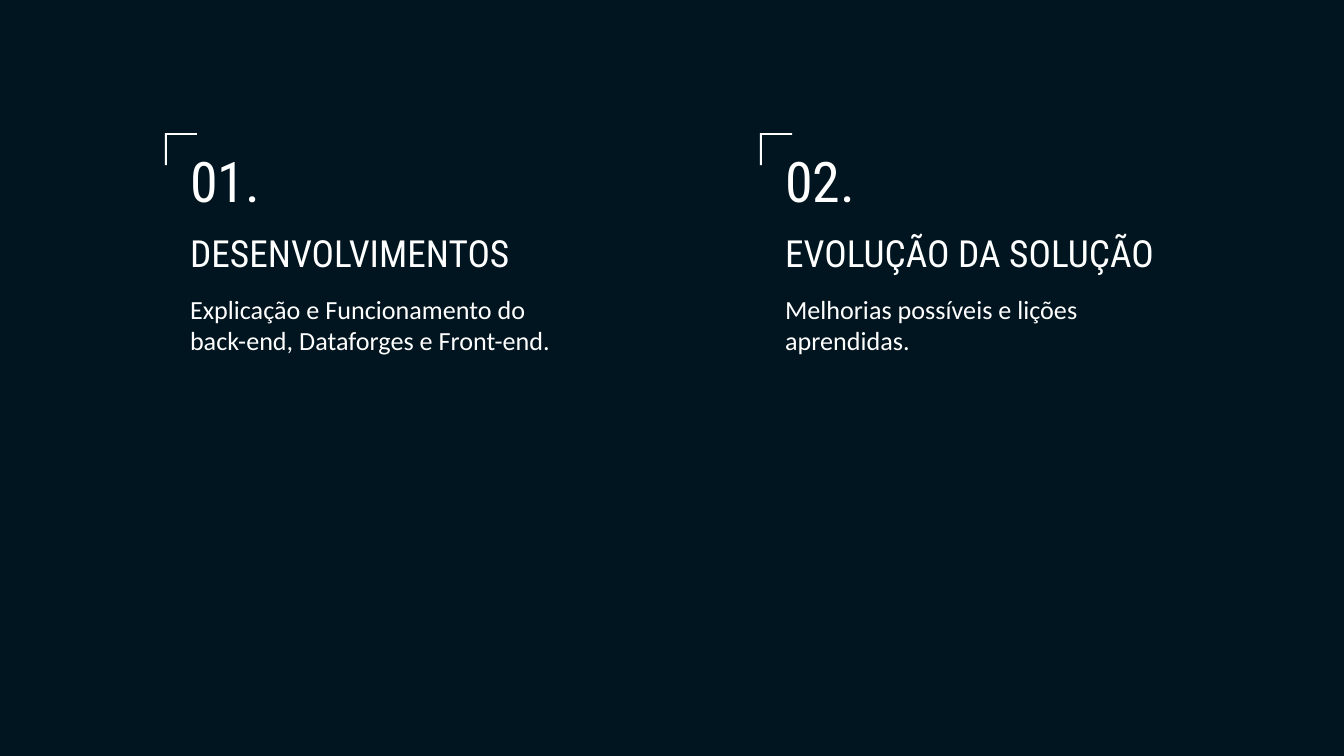
from pptx import Presentation
from pptx.dml.color import RGBColor
from pptx.enum.shapes import MSO_SHAPE
from pptx.enum.text import MSO_ANCHOR
from pptx.util import Emu, Pt

EMU_PER_PX = 914400 / 134.4
WHITE = "FFFFFF"
BACKGROUND = "00151F"
HEADING_FONT = "Roboto Condensed"
BODY_FONT = "Calibri"

TOPICS = [
    ("01.", "DESENVOLVIMENTOS",
     "Explicação e Funcionamento do back-end, Dataforges e Front-end."),
    ("02.", "EVOLUÇÃO DA SOLUÇÃO",
     "Melhorias possíveis e lições aprendidas."),
]
TOPIC_LEFT, TOPIC_TOP, TOPIC_STEP = 165, 133, 595


def px(length):
    return Emu(round(length * EMU_PER_PX))


def color(hex_string):
    return RGBColor.from_string(hex_string)


def add_text(slide, box, text, font_name, size, anchor):
    frame = slide.shapes.add_textbox(*map(px, box)).text_frame
    frame_format = {"word_wrap": True, "vertical_anchor": anchor}
    frame_format.update({f"margin_{side}": px(13) for side in ("left", "top", "right", "bottom")})
    for name, value in frame_format.items():
        setattr(frame, name, value)
    paragraph = frame.paragraphs[0]
    run = paragraph.add_run()
    run.text = text
    for name, value in {"name": font_name, "size": Pt(size)}.items():
        setattr(run.font, name, value)
    run.font.color.rgb = color(WHITE)


def add_corner(slide, left, top, size):
    """Draw a thin bracket that opens to the lower right."""
    corner = slide.shapes.add_shape(MSO_SHAPE.CORNER, px(left), px(top), px(size), px(size))
    corner.rotation = 90
    for index in range(2):
        corner.adjustments[index] = 0.06
    corner.shadow.inherit = False
    corner.fill.solid()
    corner.fill.fore_color.rgb = color(WHITE)
    corner.line.fill.background()


def add_topic(slide, left, top, number, title, description):
    text_left = left + 12
    add_text(slide, (text_left, top + 4, 301, 90), number, HEADING_FONT, 30, MSO_ANCHOR.BOTTOM)
    add_text(slide, (text_left, top + 70, 464, 85), title, HEADING_FONT, 20, MSO_ANCHOR.BOTTOM)
    add_text(slide, (text_left, top + 147, 411, 77), description, BODY_FONT, 14, MSO_ANCHOR.TOP)
    add_corner(slide, left, top, 32)


def main():
    presentation = Presentation()
    presentation.slide_width, presentation.slide_height = px(1344), px(756)
    slide = presentation.slides.add_slide(presentation.slide_layouts[6])
    slide.background.fill.solid()
    slide.background.fill.fore_color.rgb = color(BACKGROUND)
    for column, topic in enumerate(TOPICS):
        add_topic(slide, TOPIC_LEFT + column * TOPIC_STEP, TOPIC_TOP, *topic)
    presentation.save("out.pptx")


if __name__ == "__main__":
    main()
